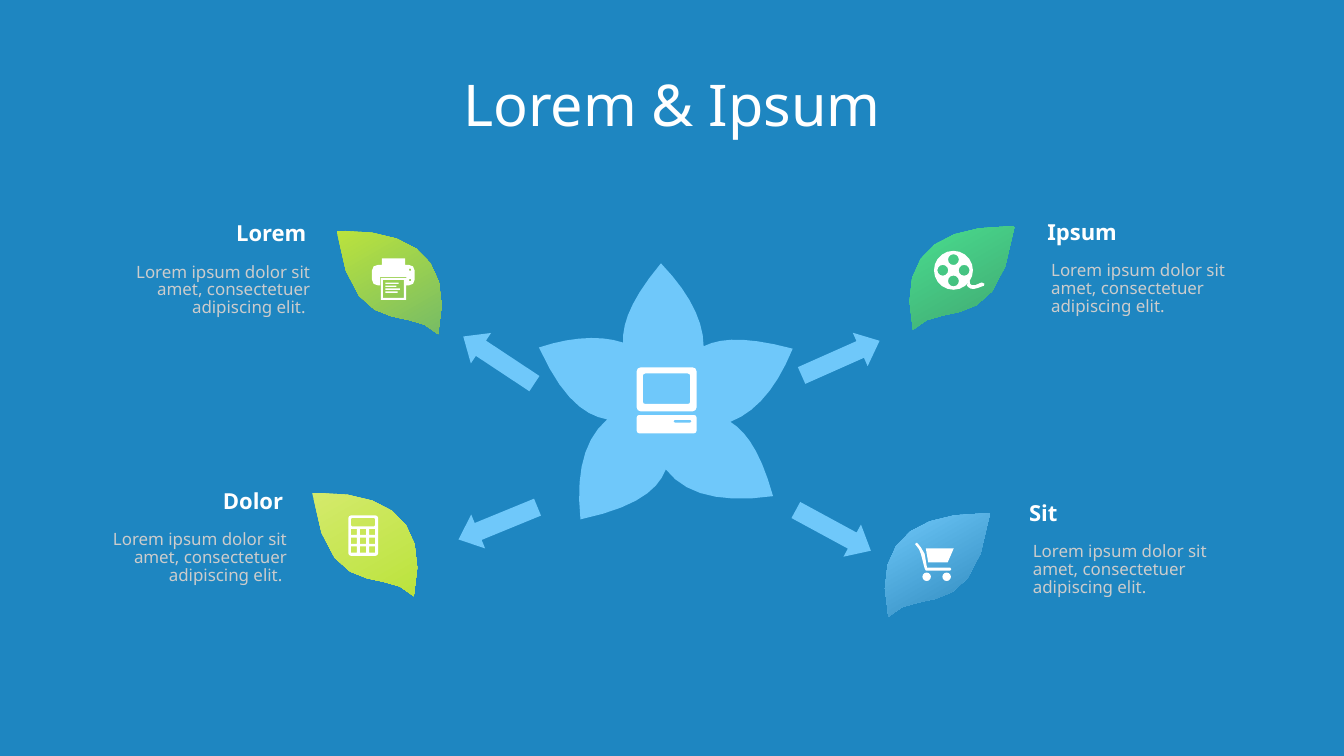
from dataclasses import dataclass
from math import cos, dist, pi, sin
from typing import Callable

from pptx import Presentation
from pptx.dml.color import RGBColor
from pptx.enum.shapes import MSO_SHAPE
from pptx.enum.text import MSO_ANCHOR, MSO_AUTO_SIZE, PP_ALIGN
from pptx.util import Pt

COLORS = {"back": "1E86C1", "sky": "6FC8FA", "white": "FFFFFF", "gray": "CCCCCC",
          "leaf_lime": "BBE33D", "leaf_green": "77BC65", "leaf_straw": "D4EA6B",
          "leaf_mint": "49DE8F", "leaf_emerald": "41A671", "leaf_blue": "2D88BB"}
FONT = "Noto Sans"
BODY = "Lorem ipsum dolor sit amet, consectetuer adipiscing elit."


def color(name):
    """Return the named colour."""
    return RGBColor.from_string(COLORS[name])


def trace(start, *steps):
    """Return outline points; a step of two numbers is a line, of six a curve."""
    points = [start]
    for step in steps:
        if len(step) == 2:
            points.append(step)
            continue
        knots = [points[-1], step[:2], step[2:4], step[4:]]
        pieces = min(7, 2 + int(dist(knots[0], knots[3]) / 8))
        for t in (n / pieces for n in range(1, pieces + 1)):
            weights = ((1 - t) ** 3, 3 * t * (1 - t) ** 2, 3 * t * t * (1 - t), t ** 3)
            points.append(tuple(sum(w * k[axis] for w, k in zip(weights, knots))
                                for axis in (0, 1)))
    return points


def rounded(left, top, width, height, radius=0):
    """Return the points of a rectangle with round corners."""
    if not radius:
        return [(left, top), (left + width, top), (left + width, top + height),
                (left, top + height)]
    corners = ((width - radius, height - radius), (radius, height - radius),
               (radius, radius), (width - radius, radius))
    turns = min(5, 1 + int(radius / 1.2))
    return [(left + x + radius * cos(angle), top + y + radius * sin(angle))
            for quarter, (x, y) in enumerate(corners)
            for angle in ((quarter + n / turns) * pi / 2 for n in range(turns + 1))]


def circle(x, y, radius):
    """Return the points of a circle around a centre."""
    turns = 4 * min(5, 2 + int(radius / 2))
    return [(x + radius * cos(2 * pi * n / turns), y + radius * sin(2 * pi * n / turns))
            for n in range(turns)]


def draw(page, left, top, contours, fill="white"):
    """Draw contours as one outline; inner contours become holes."""
    placed = [[(Pt(left + x), Pt(top + y)) for x, y in contour] for contour in contours]
    builder = page.shapes.build_freeform(*placed[0][0])
    for number, contour in enumerate(placed):
        if number:
            builder.move_to(*contour[0])
        builder.add_line_segments(contour[1:], close=True)
    shape = builder.convert_to_shape()
    paint(shape, fill)
    return shape


def paint(shape, fill):
    """Give a shape a plain fill without line or shadow."""
    shape.shadow.inherit = False
    shape.line.fill.background()
    shape.fill.solid()
    shape.fill.fore_color.rgb = color(fill)


def write(box, text, size, fill="white", bold=False, align=PP_ALIGN.LEFT,
          anchor=MSO_ANCHOR.TOP, spacing=1.0):
    """Put formatted text in a box."""
    frame = box.text_frame
    frame.word_wrap = True
    frame.auto_size = MSO_AUTO_SIZE.NONE
    frame.vertical_anchor = anchor
    para = frame.paragraphs[0]
    para.alignment = align
    para.line_spacing = spacing
    span = para.add_run()
    span.text = text
    span.font.name, span.font.size, span.font.bold = FONT, Pt(size), bold
    span.font.color.rgb = color(fill)


def computer():
    """Return the contours of a computer."""
    return [rounded(0, 0, 35.3, 25.9, 2.2), rounded(3.6, 3.6, 28, 18, 1.4),
            rounded(0, 28.1, 35.3, 10.8, 1.4), rounded(21.6, 31, 10.8, 1.6, 0.8)]


def calculator():
    """Return the contours of a calculator."""
    keys = [rounded(1.4 + 5.4 * column, 7.9 + 5.2 * row, 3.6, 3.6)
            for row in range(3) for column in range(3)]
    return [rounded(0, 0, 17.5, 23.8, 1.4), rounded(1.4, 1.4, 14.4, 5, 0.7)] + keys


def film():
    """Return the contours of a film reel."""
    tail = trace((21.1, 18), (20.9, 19.4, 21.6, 20.2, 22.3, 20.2),
                 (23, 20.9, 25.2, 20.2, 28.1, 18.7), (29.8, 19.4), (29.5, 20.6),
                 (25.2, 22.3, 23, 23, 21.6, 22.3), (20.2, 21.6, 19.4, 20.9, 19.4, 20.2))
    centres = ((11.5, 5.2), (11.5, 17.8), (5.2, 11.5), (17.8, 11.5))
    return [circle(11.5, 11.5, 11.5), tail] + [circle(x, y, 3.2) for x, y in centres]


def cart():
    """Return the contours of a shopping cart."""
    handle = trace((0.7, 0), (0.2, 0.8), (0.7, 1.4), (2.2, 2.9, 2.9, 4.3, 3.6, 6.5),
                   (5.8, 15.1), (6.5, 16.4), (20.9, 16.4),
                   (21.8, 16.4, 21.8, 14.6, 20.9, 14.6), (7.2, 14.6), (5.8, 6.5),
                   (4.3, 3.6, 2.9, 1.4, 1.4, 0))
    basket = [(6.5, 3.2), (7.9, 11.5), (19.4, 11.5), (23, 3.2)]
    return [handle, basket, circle(7, 20, 2.5), circle(18.8, 20, 2.5)]


def printer():
    """Return the contours of a printer."""
    body = trace((5.8, 0), (5.8, 3.8), (3.6, 3.8), (1.4, 3.8, 0, 5.2, 0, 7.2), (0, 12.6),
                 (0, 14.6, 1.4, 16, 3.6, 16), (4.9, 16), (4.9, 10.9), (20.4, 10.9),
                 (20.4, 16), (21.6, 16), (23.8, 16, 25.2, 14.6, 25.2, 12.6), (25.2, 7.2),
                 (25.2, 5.2, 23.8, 3.8, 21.6, 3.8), (19.6, 3.8), (19.6, 0))
    lines = [rounded(7.9, 14.3 + 1.75 * row, width, 0.8)
             for row, width in enumerate((7.9, 6.5, 8.6, 7.2))]
    return [body, circle(22.5, 6.7, 0.7), circle(22.5, 12.8, 0.7),
            rounded(5.2, 11.5, 15, 13), rounded(6.5, 12.7, 12.4, 10.6)] + lines


@dataclass
class Branch:
    """Content and places of one branch around the flower."""
    title: str
    text: tuple
    leaf: tuple
    shades: tuple
    icon: Callable
    icon_offset: tuple
    arrow: tuple
    angle: float
    on_left: bool


BRANCHES = [
    Branch("Lorem", (58.3, 126), (198.7, 136.3), ("leaf_lime", "leaf_green"), printer,
           (20.9, 16.3), (294.5, 212.6), 213.5, True),
    Branch("Ipsum", (611.3, 125.3), (537, 133.7), ("leaf_mint", "leaf_emerald"), film,
           (14.4, 14.4), (496.3, 211.5), 336, False),
    Branch("Dolor", (44.6, 284), (184.3, 291), ("leaf_straw", "leaf_lime"), calculator,
           (21.4, 13.4), (294, 309), 157.7, True),
    Branch("Sit", (600.5, 291.3), (522.5, 303.2), ("sky", "leaf_blue"), cart,
           (17.6, 17.4), (492, 313.2), 28.5, False),
]


def add_flower(page, left, top):
    """Draw the central flower and its computer."""
    petals = trace(
        (97.2, 49), (107.3, 43.9, 122.4, 43.2, 149.8, 50.4),
        (140.4, 73.4, 128.2, 87.8, 113, 93.6), (122.4, 99.4, 131, 111.6, 138.2, 137.5),
        (108, 141.8, 86.4, 136.8, 74.9, 121.7), (70.6, 133.2, 58.3, 144, 24.5, 151.2),
        (21.6, 123.8, 26.6, 103.7, 40.3, 92.2), (28.1, 90, 14.4, 81.4, 0, 49.7),
        (19.4, 43.2, 36.7, 42.5, 49.7, 46.8), (49, 36, 54, 21.6, 72, 0),
        (88.6, 17.3, 97.2, 33.8, 97.2, 49))
    draw(page, left, top, [petals], "sky")
    draw(page, left + 57.7, top + 61.5, computer())


def add_leaf(page, left, top, branch):
    """Draw a shaded leaf with its icon, mirrored on the right side."""
    outline = trace((60, 61), (43, 42.5, 10, 67.5, 0, 0), (3.6, 0),
                    (47.5, 0, 69, 18.5, 60, 61))
    if not branch.on_left:
        outline = [(62 - x, y) for x, y in outline]
    fill = draw(page, left, top, [outline]).fill
    fill.gradient()
    fill.gradient_angle = 300
    for stop, shade in zip(fill.gradient_stops, branch.shades):
        stop.color.rgb = color(shade)
    across, down = branch.icon_offset
    draw(page, left + across, top + down, branch.icon())


def add_branch(page, branch):
    """Add the texts, leaf and arrow of one branch."""
    left, top = branch.text
    align = PP_ALIGN.RIGHT if branch.on_left else PP_ALIGN.LEFT
    heading = page.shapes.add_textbox(Pt(left), Pt(top), Pt(129.6), Pt(23))
    write(heading, branch.title, 13, bold=True, align=align)
    body = page.shapes.add_textbox(Pt(left + 2.2), Pt(top + 26.2), Pt(129.6), Pt(43.2))
    write(body, BODY + (" " if branch.on_left else ""), 10, fill="gray", align=align,
          spacing=0.88)
    add_leaf(page, *branch.leaf, branch)
    x, y = branch.arrow
    arrow = page.shapes.add_shape(MSO_SHAPE.RIGHT_ARROW, Pt(x - 25.2), Pt(y - 10.8),
                                  Pt(50.4), Pt(21.6))
    arrow.adjustments[1] = 0.58
    arrow.rotation = branch.angle
    paint(arrow, "sky")


def main():
    """Build the slide and save it."""
    deck = Presentation()
    deck.slide_width, deck.slide_height = Pt(793.44), Pt(446.4)
    page = deck.slides.add_slide(deck.slide_layouts[5])
    page.background.fill.solid()
    page.background.fill.fore_color.rgb = color("back")
    title = page.shapes.title
    title.left, title.top, title.width, title.height = map(Pt, (0, 37.4, 793.44, 47.5))
    write(title, "Lorem & Ipsum", 34, align=PP_ALIGN.CENTER, anchor=MSO_ANCHOR.MIDDLE)
    add_flower(page, 318.2, 155.5)
    for branch in BRANCHES:
        add_branch(page, branch)
    deck.save("out.pptx")


if __name__ == "__main__":
    main()
